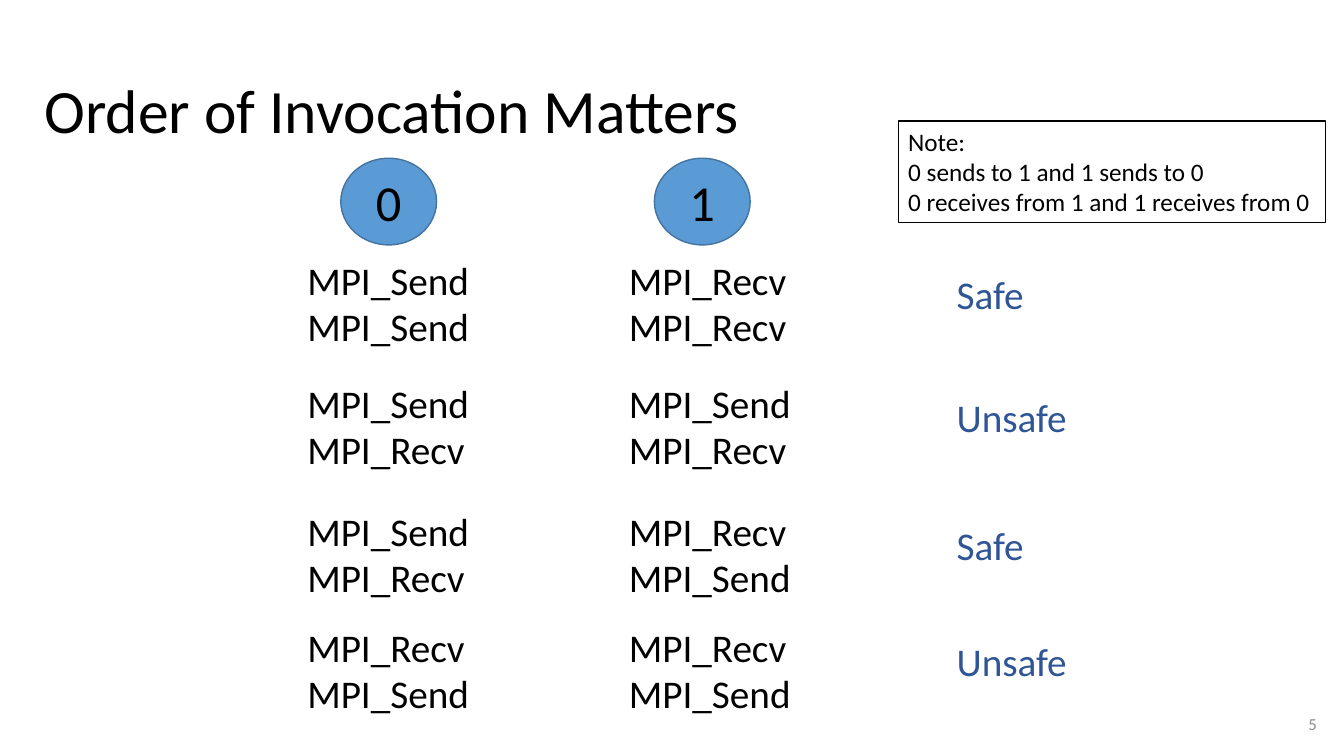
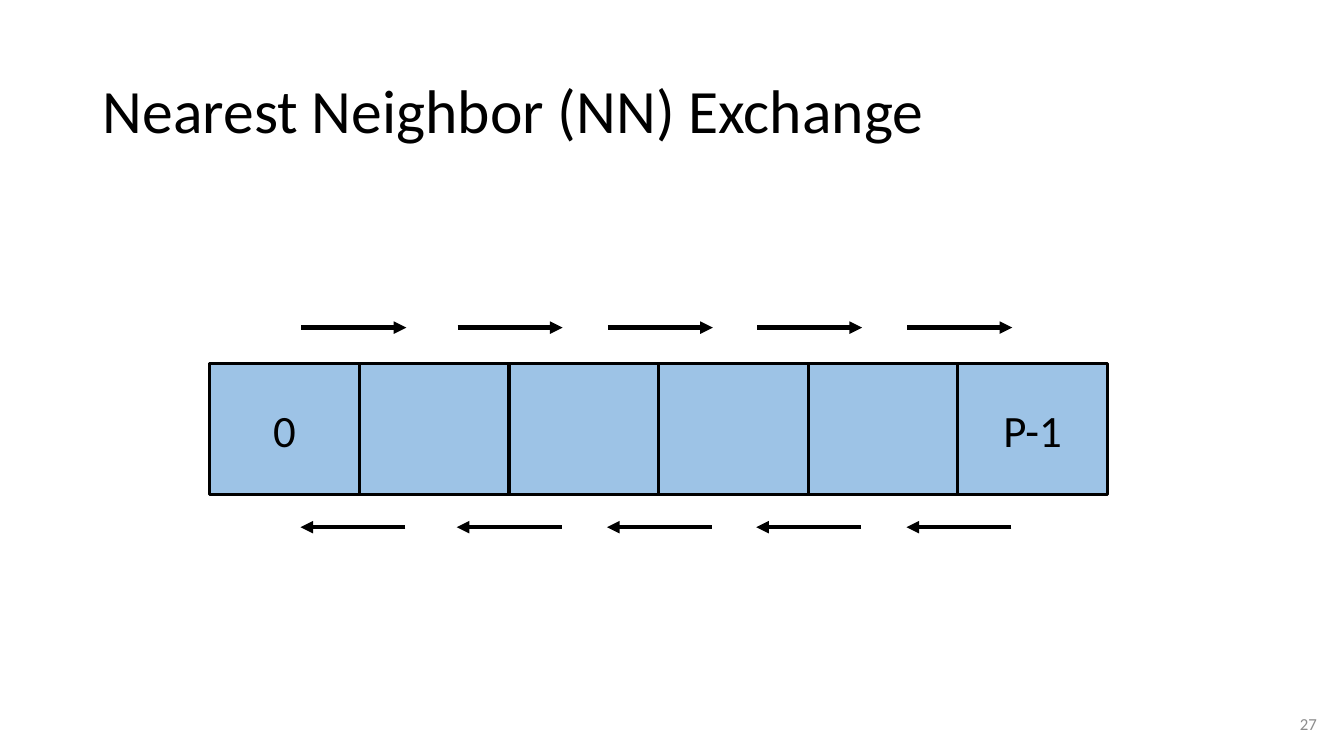
from lxml.etree import SubElement
from pptx import Presentation
from pptx.dml.color import RGBColor
from pptx.enum.shapes import MSO_CONNECTOR, MSO_SHAPE
from pptx.enum.text import MSO_ANCHOR, MSO_AUTO_SIZE, PP_ALIGN
from pptx.oxml.ns import qn
from pptx.util import Inches, Pt

FONT = "Calibri"
COLORS = {
    "text": "000000",
    "paper": "FFFFFF",
    "process": "5B9BD5",
    "process_edge": "43739E",
    "verdict": "2F5597",
    "cell": "9DC3E6",
    "number": "8C8C8C",
}


def color(name):
    return RGBColor.from_string(COLORS[name])


def write(shape, text, size, ink="text", align=PP_ALIGN.LEFT,
          anchor=MSO_ANCHOR.TOP, wrap=True, spacing=None):
    """Fill a shape with text, one paragraph per line."""
    frame = shape.text_frame
    frame.word_wrap = wrap
    frame.auto_size = MSO_AUTO_SIZE.NONE
    frame.vertical_anchor = anchor
    frame.text = text
    for paragraph in frame.paragraphs:
        paragraph.alignment = align
        if spacing:
            paragraph.line_spacing = spacing
        font = paragraph.runs[0].font
        font.name, font.size = FONT, Pt(size)
        font.color.rgb = color(ink)


def add_text(slide, left, top, width, height, text, size, **form):
    box = slide.shapes.add_textbox(
        Inches(left), Inches(top), Inches(width), Inches(height))
    write(box, text, size, **form)


def add_box(shapes, kind, left, top, width, height, fill, edge, weight):
    box = shapes.add_shape(
        kind, Inches(left), Inches(top), Inches(width), Inches(height))
    box.shadow.inherit = False
    box.fill.solid()
    box.fill.fore_color.rgb = color(fill)
    box.line.color.rgb = color(edge)
    box.line.width = Pt(weight)
    return box


def add_arrow(shapes, start, end, y):
    arrow = shapes.add_connector(
        MSO_CONNECTOR.STRAIGHT, Inches(start), Inches(y), Inches(end), Inches(y))
    arrow.line.color.rgb = color("text")
    arrow.line.width = Pt(3)
    SubElement(arrow.line._get_or_add_ln(), qn("a:tailEnd"), type="triangle")
    SubElement(arrow._element.spPr, qn("a:effectLst"))


def new_slide(deck, title, number, title_left):
    """Title and slide number, shared by all slides."""
    slide = deck.slides.add_slide(deck.slide_layouts[5])
    heading = slide.shapes.title
    heading.left, heading.top = Inches(title_left), Inches(0.4)
    heading.width, heading.height = Inches(12.42 - title_left), Inches(1.45)
    write(heading, title, 44, anchor=MSO_ANCHOR.MIDDLE, spacing=0.9)
    add_text(slide, 10.16, 6.98, 3, 0.4, str(number), 12, ink="number",
             align=PP_ALIGN.RIGHT, anchor=MSO_ANCHOR.MIDDLE)
    return slide


def add_process(slide, left, top, rank):
    circle = add_box(slide.shapes, MSO_SHAPE.OVAL, left, top, 0.95, 0.86,
                     "process", "process_edge", 1)
    write(circle, rank, 36, align=PP_ALIGN.CENTER, anchor=MSO_ANCHOR.MIDDLE)


def add_case(slide, left, top, calls_by_process, verdict):
    """One row: the calls of each process and whether the order is safe."""
    for column, calls in enumerate(calls_by_process):
        for step, call in enumerate(calls):
            add_text(slide, left + 3.19 * column, top + 0.46 * step, 1.83, 0.57,
                     f"MPI_{call}", 28, wrap=False)
    add_text(slide, left + 6.44, top + 0.14, 1.3, 0.57, verdict, 28,
             ink="verdict", wrap=False)


def add_note(slide, left, top, text):
    note = add_box(slide.shapes, MSO_SHAPE.RECTANGLE, left, top, 4.24, 1.01,
                   "paper", "text", 1)
    write(note, text, 18)


def add_process_row(slide, left, top, labels):
    """Adjoining cells, one per process."""
    row = slide.shapes.add_group_shape().shapes
    pitch = 1.484
    for index, label in enumerate(labels):
        cell = add_box(row, MSO_SHAPE.RECTANGLE, left + pitch * index, top,
                       pitch, 1.3, "cell", "text", 2.25)
        if label:
            write(cell, label, 32, align=PP_ALIGN.CENTER,
                  anchor=MSO_ANCHOR.MIDDLE)


def add_exchange(slide, left, y, leftward=False):
    """One arrow across each border between neighbors."""
    arrows = slide.shapes.add_group_shape().shapes
    for offset in (0, 1.55, 3.04, 4.52, 6.01):
        ends = [left + offset, left + offset + 1.04]
        if leftward:
            ends.reverse()
        add_arrow(arrows, *ends, y)


def build_order_slide(deck):
    slide = new_slide(deck, "Order of Invocation Matters", 5, 0.34)
    for left, rank in ((3.38, "0"), (6.49, "1")):
        add_process(slide, left, 1.57, rank)
    cases = (
        (2.49, ("Send", "Send"), ("Recv", "Recv"), "Safe"),
        (3.71, ("Send", "Recv"), ("Send", "Recv"), "Unsafe"),
        (4.98, ("Send", "Recv"), ("Recv", "Send"), "Safe"),
        (6.13, ("Recv", "Send"), ("Recv", "Send"), "Unsafe"),
    )
    for top, *calls_by_process, verdict in cases:
        add_case(slide, 2.95, top, calls_by_process, verdict)
    add_note(slide, 8.91, 1.2, "Note:\n0 sends to 1 and 1 sends to 0\n"
             "0 receives from 1 and 1 receives from 0")


def build_neighbor_slide(deck):
    slide = new_slide(deck, "Nearest Neighbor (NN) Exchange", 27, 0.92)
    add_process_row(slide, 2.08, 3.61, ("0", "", "", "", "", "P-1"))
    add_exchange(slide, 2.98, 5.23, leftward=True)
    add_exchange(slide, 2.99, 3.25)


def main():
    deck = Presentation()
    deck.slide_width, deck.slide_height = Inches(13.33), Inches(7.5)
    build_order_slide(deck)
    build_neighbor_slide(deck)
    deck.save("out.pptx")


if __name__ == "__main__":
    main()
